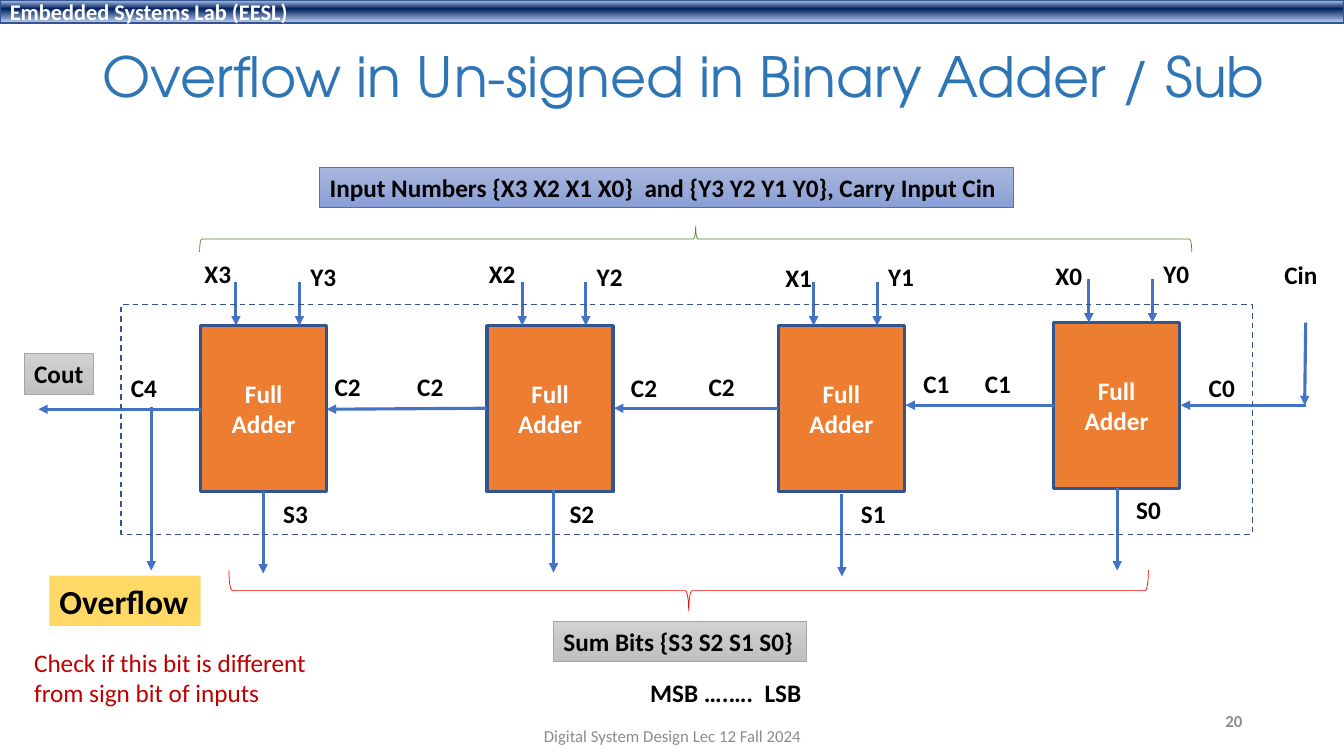
from lxml import etree
from pptx import Presentation
from pptx.dml.color import RGBColor
from pptx.enum.dml import MSO_LINE
from pptx.enum.shapes import MSO_CONNECTOR, MSO_SHAPE
from pptx.enum.text import MSO_ANCHOR, MSO_AUTO_SIZE, PP_ALIGN
from pptx.oxml.ns import qn
from pptx.util import Inches, Pt

color = RGBColor.from_string
BLUE, NAVY, ORANGE, GRAY = "4472C4", "325491", "ED7D31", "8C8C8C"
SILVER = [(0, "D2D2D2"), (50, "C8C8C8"), (100, "C0C0C0")]
PERIWINKLE = [(0, "A8B7DF"), (50, "9AABD9"), (100, "889ED7")]
HEADER = [(2, "ABC0E4"), (38, "002060"), (93, "ACC1E5")]

presentation = Presentation()
presentation.slide_width = Inches(13.33)
presentation.slide_height = Inches(7.5)
slide = presentation.slides.add_slide(presentation.slide_layouts[5])


def write(shape, text, size=18, ink="000000", bold=True,
          align=PP_ALIGN.LEFT, anchor=MSO_ANCHOR.TOP):
    frame = shape.text_frame
    frame.text = text
    frame.word_wrap = False
    frame.vertical_anchor = anchor
    for paragraph in frame.paragraphs:
        paragraph.alignment = align
        paragraph.font.name = "Calibri"
        paragraph.font.size = Pt(size)
        paragraph.font.bold = bold
        paragraph.font.color.rgb = color(ink)


def connect(x1, y1, x2, y2, arrow=True):
    connector = slide.shapes.add_connector(
        MSO_CONNECTOR.STRAIGHT, Inches(x1), Inches(y1), Inches(x2), Inches(y2))
    connector.line.color.rgb = color(BLUE)
    connector.line.width = Pt(2.25)
    if arrow:
        line = connector.line._get_or_add_ln()
        etree.SubElement(line, qn("a:tailEnd"), type="triangle")
    etree.SubElement(connector._element.spPr, qn("a:effectLst"))


# Title
title = slide.shapes.title
title.left, title.top, title.width, title.height = map(Inches, (0.92, 0.4, 12.02, 0.77))
title.text_frame.text = "Overflow in Un-signed in Binary Adder / Sub"
title.text_frame.auto_size = MSO_AUTO_SIZE.NONE
title.text_frame.word_wrap = True
title.text_frame.vertical_anchor = MSO_ANCHOR.MIDDLE
heading = title.text_frame.paragraphs[0]
heading.alignment = PP_ALIGN.LEFT
heading.line_spacing = 0.9
heading.font.name = "TeX Gyre Adventor"
heading.font.size = Pt(39.6)
heading.font.color.rgb = color("2E75B6")

# Full adders: bit, left, top, X label (left, top), sum arrow (x, top)
adders = [
    (0, 10.45, 3.2, (10.37, 2.53), (11.08, 4.84)),
    (1, 7.72, 3.23, (7.69, 2.55), (8.35, 4.9)),
    (2, 4.83, 3.23, (4.75, 2.51), (5.49, 4.86)),
    (3, 1.99, 3.23, (1.93, 2.51), (2.61, 4.87)),
]
labels = []
for bit, left, top, x_label, (sum_x, sum_top) in adders:
    adder = slide.shapes.add_shape(
        MSO_SHAPE.RECTANGLE, Inches(left), Inches(top), Inches(1.25), Inches(1.65))
    adder.shadow.inherit = False
    adder.fill.solid()
    adder.fill.fore_color.rgb = color(ORANGE)
    adder.line.color.rgb = color(NAVY)
    adder.line.width = Pt(2.25)
    write(adder, "Full\nAdder", ink="FFFFFF", align=PP_ALIGN.CENTER, anchor=MSO_ANCHOR.MIDDLE)
    for offset in (0.35, 0.98):
        connect(left + offset, top - 0.43, left + offset, top)
    connect(sum_x, sum_top, sum_x, sum_top + 0.82)
    labels += [
        (f"X{bit}", *x_label, 0.47),
        (f"Y{bit}", left + 0.99, top - 0.69, 0.46),
        (f"S{bit}", left + 0.72, top + 1.66, 0.45),
    ]

# Carry chain, overflow tap and carry input
for ends in [
    (12.22, 4.02, 11.71, 4.02), (10.45, 4.02, 8.98, 4.02), (7.72, 4.05, 6.09, 4.05),
    (4.83, 4.05, 3.24, 4.06), (1.99, 4.06, 0.38, 4.06),
    (1.5, 4.04, 1.5, 5.66), (12.95, 3.2, 12.94, 4.02),
]:
    connect(*ends)
connect(12.95, 4.02, 12.17, 4.02, arrow=False)

labels += [
    ("C0", 11.89, 3.64, 0.46), ("C1", 9.67, 3.6, 0.46), ("C1", 9.06, 3.61, 0.46),
    ("C2", 6.93, 3.63, 0.46), ("C2", 6.16, 3.64, 0.46), ("C2", 4.04, 3.63, 0.46),
    ("C2", 3.22, 3.63, 0.46), ("C4", 1.2, 3.64, 0.46), ("Cin", 12.64, 2.52, 0.53),
    ("MSB ….….  LSB", 6.35, 6.67, 1.72),
]
for text, left, top, width in labels:
    label = slide.shapes.add_textbox(Inches(left), Inches(top), Inches(width), Inches(0.4))
    write(label, text)

# Dashed frame and braces
for kind, at, rotation, outline, weight in [
    (MSO_SHAPE.RECTANGLE, (1.2, 3.02, 11.22, 2.28), 0, NAVY, 1),
    (MSO_SHAPE.RIGHT_BRACE, (6.63, 1.3, 0.4, 9.12), 90, "FF0000", 0.5),
    (MSO_SHAPE.RIGHT_BRACE, (6.77, -2.55, 0.26, 9.84), 270, "548235", 0.5),
]:
    shape = slide.shapes.add_shape(kind, *map(Inches, at))
    shape.shadow.inherit = False
    shape.rotation = rotation
    shape.fill.background()
    shape.line.color.rgb = color(outline)
    shape.line.width = Pt(weight)
    if kind == MSO_SHAPE.RECTANGLE:
        shape.line.dash_style = MSO_LINE.DASH

# Header bar and gradient boxes
for text, at, stops, outline, weight, style in [
    ("Embedded Systems Lab (EESL)", (0, 0, 13.33, 0.23), HEADER, NAVY, 1,
     {"size": 16, "ink": "FFFFFF", "anchor": MSO_ANCHOR.MIDDLE}),
    ("Cout", (0.24, 3.51, 0.69, 0.4), SILVER, "A5A5A5", 0.5, {}),
    ("Sum Bits {S3 S2 S1 S0}", (5.49, 6.16, 2.51, 0.4), SILVER, "A5A5A5", 0.5, {}),
    ("Input Numbers {X3 X2 X1 X0}  and {Y3 Y2 Y1 Y0}, Carry Input Cin",
     (3.17, 1.66, 6.88, 0.4), PERIWINKLE, BLUE, 0.5, {}),
]:
    box = slide.shapes.add_shape(MSO_SHAPE.RECTANGLE, *map(Inches, at))
    box.shadow.inherit = False
    box.fill.gradient()
    box.fill.gradient_angle = 270
    stop_list = box._element.spPr.find(qn("a:gradFill")).find(qn("a:gsLst"))
    for stop in list(stop_list):
        stop_list.remove(stop)
    for position, shade in stops:
        stop = etree.SubElement(stop_list, qn("a:gs"), pos=str(position * 1000))
        etree.SubElement(stop, qn("a:srgbClr"), val=shade)
    box.line.color.rgb = color(outline)
    box.line.width = Pt(weight)
    write(box, text, **style)

# Overflow note and footer
overflow = slide.shapes.add_textbox(Inches(0.49), Inches(5.71), Inches(1.5), Inches(0.5))
overflow.fill.solid()
overflow.fill.fore_color.rgb = color("FFD966")
write(overflow, "Overflow", size=24)

note = slide.shapes.add_textbox(Inches(0.24), Inches(6.37), Inches(2.93), Inches(0.71))
write(note, "Check if this bit is different\nfrom sign bit of inputs", ink="C00000", bold=False)

page_number = slide.shapes.add_textbox(Inches(9.42), Inches(6.95), Inches(3), Inches(0.4))
write(page_number, "20", size=12, ink=GRAY, align=PP_ALIGN.RIGHT, anchor=MSO_ANCHOR.MIDDLE)

footer = slide.shapes.add_textbox(Inches(4.42), Inches(7.1), Inches(4.5), Inches(0.4))
write(footer, "Digital System Design Lec 12 Fall 2024", size=12, ink=GRAY, bold=False,
      align=PP_ALIGN.CENTER, anchor=MSO_ANCHOR.MIDDLE)
for textbox in (page_number, footer):
    textbox.text_frame.word_wrap = True

presentation.save("out.pptx")
